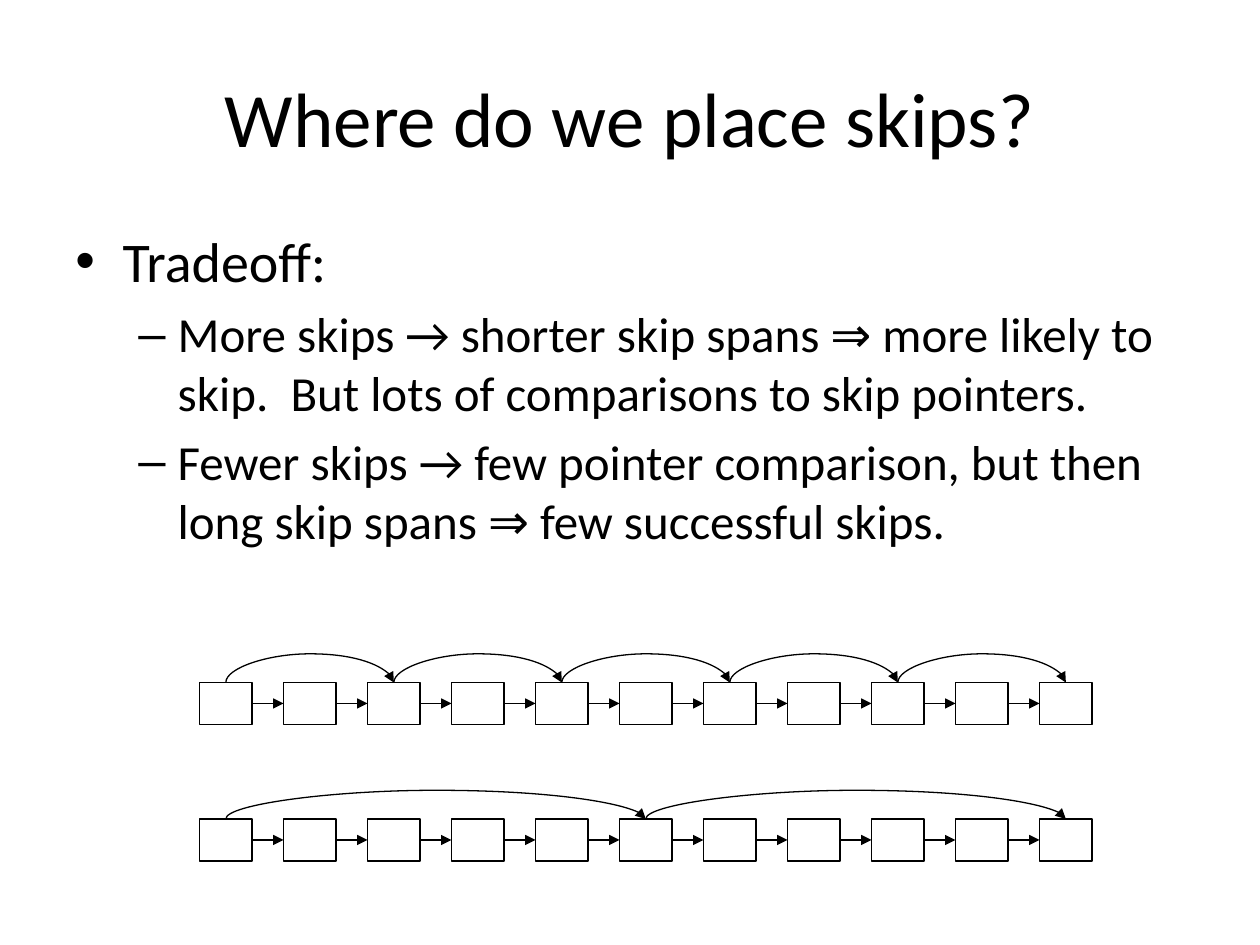
import pptx
import pptx.dml.color
import pptx.enum.shapes
import pptx.enum.text
import pptx.oxml
import pptx.oxml.ns
import pptx.util

Pt = pptx.util.Pt
INK = "000000"
FONT = "Calibri"
BOX_COUNT = 11
BOX_LEFT, BOX_WIDTH, BOX_HEIGHT, BOX_PITCH = 114, 30, 24, 48
ARC_RISE = 18
ARC_DEPTH = 0.125
LISTS = [{"top": 390, "skip": 2}, {"top": 468, "skip": 5}]
LEVELS = [
    {"size": 32, "bullet": "•", "margin": 27, "hanging": 27},
    {"size": 28, "bullet": "–", "margin": 58.5, "hanging": 22.5},
]
POINTS = [
    (0, "Tradeoff:"),
    (1, "More skips → shorter skip spans ⇒ more likely to skip.  "
        "But lots of comparisons to skip pointers."),
    (1, "Fewer skips → few pointer comparison, but then long skip spans "
        "⇒ few successful skips."),
]


def color(hex_value):
    return pptx.dml.color.RGBColor.from_string(hex_value)


def apply_format(target, values):
    for name, value in values.items():
        setattr(target, name, value)


def add_child(parent, tag, **attributes):
    child = pptx.oxml.parse_xml(f"<a:{tag} {pptx.oxml.ns.nsdecls('a')}/>")
    for name, value in attributes.items():
        child.set(name, str(value))
    parent.append(child)


def add_text_frame(slide, left, top, width, height, anchor):
    shape = slide.shapes.add_textbox(Pt(left), Pt(top), Pt(width), Pt(height))
    apply_format(shape.text_frame, {"word_wrap": True, "vertical_anchor": anchor})
    return shape.text_frame


def write_text(paragraph, text, size):
    run = paragraph.add_run()
    run.text = text
    apply_format(run.font, {"name": FONT, "size": Pt(size)})
    run.font.color.rgb = color(INK)


def add_title(slide, text):
    frame = add_text_frame(slide, 36, 21.6, 648, 90, pptx.enum.text.MSO_ANCHOR.MIDDLE)
    paragraph = frame.paragraphs[0]
    paragraph.alignment = pptx.enum.text.PP_ALIGN.CENTER
    write_text(paragraph, text, 44)


def add_bullets(slide, points):
    frame = add_text_frame(slide, 36, 126, 648, 356.4, pptx.enum.text.MSO_ANCHOR.TOP)
    for index, (level, text) in enumerate(points):
        paragraph = frame.add_paragraph() if index else frame.paragraphs[0]
        style = LEVELS[level]
        apply_format(paragraph, {"level": level, "space_before": Pt(style["size"] * 0.2)})
        properties = paragraph._p.get_or_add_pPr()
        properties.set("marL", str(Pt(style["margin"])))
        properties.set("indent", str(-Pt(style["hanging"])))
        add_child(properties, "buFont", typeface="Arial")
        add_child(properties, "buChar", char=style["bullet"])
        write_text(paragraph, text, style["size"])


def set_line(shape):
    shape.line.width = Pt(0.75)
    shape.line.color.rgb = color(INK)


def add_box(slide, left, top):
    shape = slide.shapes.add_shape(
        pptx.enum.shapes.MSO_SHAPE.RECTANGLE, Pt(left), Pt(top), Pt(BOX_WIDTH), Pt(BOX_HEIGHT))
    shape.shadow.inherit = False
    shape.fill.background()
    set_line(shape)
    return shape


def add_arrow(slide, kind, begin_x, begin_y, end_x, end_y):
    connector = slide.shapes.add_connector(
        kind, Pt(begin_x), Pt(begin_y), Pt(end_x), Pt(end_y))
    set_line(connector)
    add_child(connector.line._get_or_add_ln(), "tailEnd", type="triangle")
    add_child(connector._element.spPr, "effectLst")
    return connector


def add_link(slide, source, target):
    arrow = add_arrow(slide, pptx.enum.shapes.MSO_CONNECTOR.STRAIGHT, 0, 0, 0, 0)
    arrow.begin_connect(source, 3)
    arrow.end_connect(target, 1)


def add_skip(slide, start, end, top):
    middle, half_span = (start + end) / 2, (end - start) / 2
    arc = add_arrow(slide, pptx.enum.shapes.MSO_CONNECTOR.CURVE,
                    middle, top + half_span, middle + ARC_DEPTH, top - half_span)
    properties = arc._element.spPr
    properties.xfrm.set("rot", str(90 * 60000))
    guides = properties.prstGeom.get_or_add_avLst()
    bend = round(-ARC_RISE / ARC_DEPTH * 100000)
    add_child(guides, "gd", name="adj1", fmla=f"val {bend}")


def add_skip_list(slide, top, skip):
    lefts = [BOX_LEFT + BOX_PITCH * index for index in range(BOX_COUNT)]
    boxes = [add_box(slide, left, top) for left in lefts]
    for source, target in zip(boxes, boxes[1:]):
        add_link(slide, source, target)
    stops = [left + BOX_WIDTH / 2 for left in lefts[::skip]]
    for start, end in zip(stops, stops[1:]):
        add_skip(slide, start, end, top)


def main():
    presentation = pptx.Presentation()
    apply_format(presentation, {"slide_width": Pt(720), "slide_height": Pt(540)})
    slide = presentation.slides.add_slide(presentation.slide_layouts[6])
    add_title(slide, "Where do we place skips?")
    add_bullets(slide, POINTS)
    for skip_list in LISTS:
        add_skip_list(slide, **skip_list)
    presentation.save("out.pptx")


if __name__ == "__main__":
    main()
